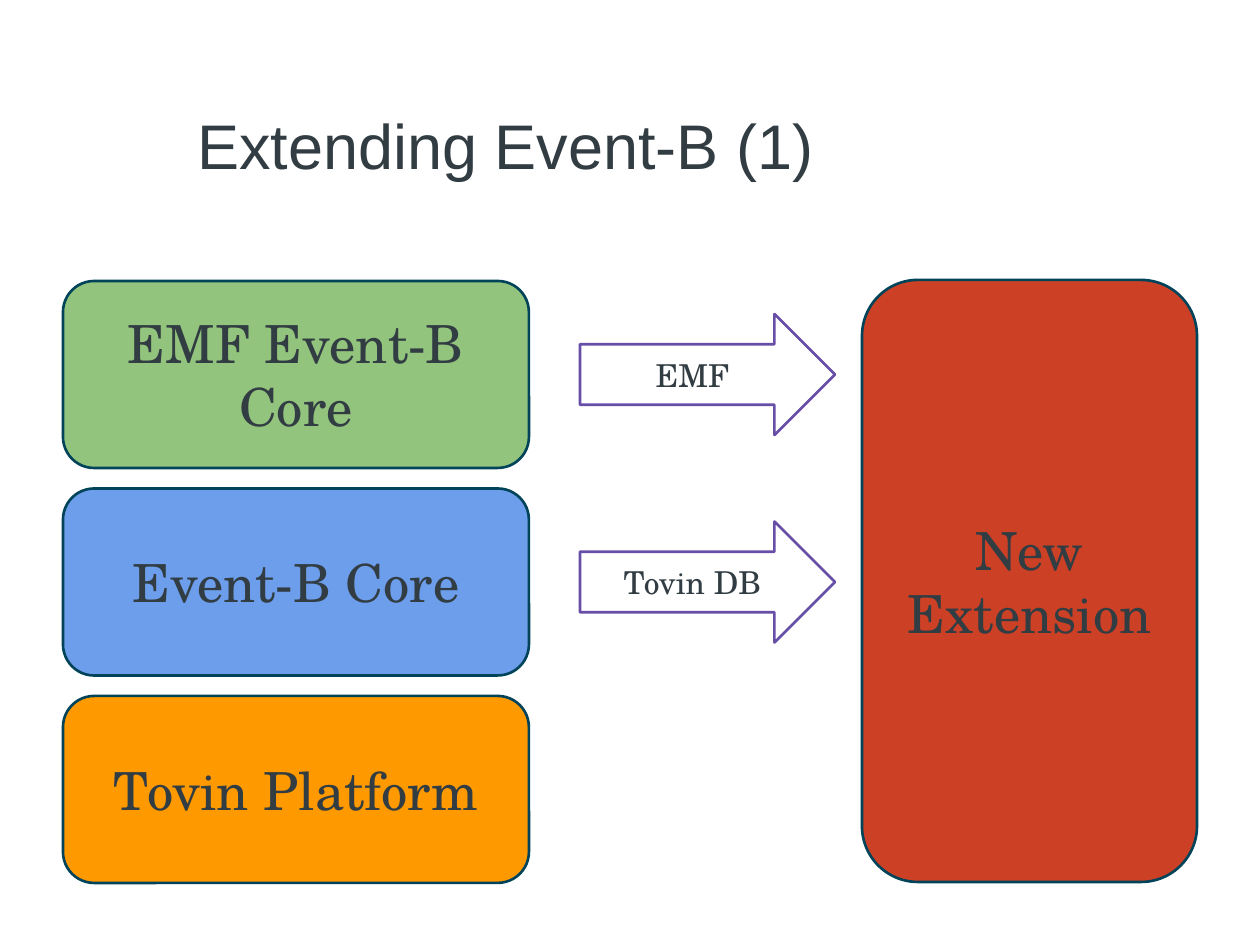
from pptx import Presentation
from pptx.dml.color import RGBColor
from pptx.enum.shapes import MSO_SHAPE
from pptx.enum.text import MSO_ANCHOR, PP_ALIGN
from pptx.util import Emu, Inches, Pt

SCALE = 914400 / 126  # EMU per pixel
INK = RGBColor(0x32, 0x3D, 0x43)
WHITE = RGBColor(0xFF, 0xFF, 0xFF)
GREEN = RGBColor(0x93, 0xC4, 0x7D)
BLUE = RGBColor(0x6D, 0x9E, 0xEB)
ORANGE = RGBColor(0xFF, 0x99, 0x00)
RED = RGBColor(0xCC, 0x41, 0x25)
TEAL = RGBColor(0x01, 0x43, 0x59)
PURPLE = RGBColor(0x67, 0x4E, 0xA7)

LAYER_HEIGHT = 187
ARROW_HEIGHT = 121
# Layer name, fill, label of the arrow leaving it
LAYERS = [
    ("EMF Event-B Core", GREEN, "EMF"),
    ("Event-B Core", BLUE, "Tovin DB"),
    ("Tovin Platform", ORANGE, None),
]


def px(length):
    return Emu(round(length * SCALE))


def write_text(shape, text, size=30, font="TeX Gyre Schola", anchor=MSO_ANCHOR.MIDDLE):
    frame = shape.text_frame
    frame.word_wrap = True
    frame.vertical_anchor = anchor
    frame.margin_left = frame.margin_right = Inches(0.1)
    frame.margin_top = frame.margin_bottom = Inches(0.1)
    para = frame.paragraphs[0]
    para.alignment = PP_ALIGN.CENTER
    span = para.add_run()
    span.text = text
    span.font.size = Pt(size)
    span.font.name = font
    span.font.color.rgb = INK


def add_block(page, kind, box, text, fill, line, size=30):
    shape = page.shapes.add_shape(kind, *map(px, box))
    shape.shadow.inherit = False
    shape.fill.solid()
    shape.fill.fore_color.rgb = fill
    shape.line.color.rgb = line
    shape.line.width = Pt(1.5)
    write_text(shape, text, size=size)


def place_title(page, box, text):
    title = page.shapes.title
    title.left, title.top, title.width, title.height = map(px, box)
    write_text(title, text, size=36, font="Arial", anchor=MSO_ANCHOR.BOTTOM)


def layer_tops(box):
    """Spread the layers evenly over the height of the box."""
    _, top, _, height = box
    pitch = (height - LAYER_HEIGHT) / (len(LAYERS) - 1)
    return [top + index * pitch for index in range(len(LAYERS))]


def add_layers(page, box):
    left, _, width, _ = box
    for top, (name, fill, _) in zip(layer_tops(box), LAYERS):
        add_block(page, MSO_SHAPE.ROUNDED_RECTANGLE,
                  (left, top, width, LAYER_HEIGHT), name, fill, TEAL)


def add_arrows(page, box):
    left, _, width, _ = box
    inset = (LAYER_HEIGHT - ARROW_HEIGHT) / 2
    for top, (_, _, label) in zip(layer_tops(box), LAYERS):
        if label:
            add_block(page, MSO_SHAPE.RIGHT_ARROW,
                      (left, top + inset, width, ARROW_HEIGHT),
                      label, WHITE, PURPLE, size=18)


def add_extension(page, box):
    add_block(page, MSO_SHAPE.ROUNDED_RECTANGLE, box, "New Extension", RED, TEAL)


deck = Presentation()
deck.slide_width, deck.slide_height = Inches(10), Inches(7.5)
page = deck.slides.add_slide(deck.slide_layouts[5])
page.background.fill.solid()
page.background.fill.fore_color.rgb = WHITE

# Title
place_title(page, (63, 87, 885, 108), "Extending Event-B (1)")
# Platform layers, the extension, and the arrows between them
add_layers(page, (63, 281, 466, 602))
add_extension(page, (862, 280, 335, 602))
add_arrows(page, (580, 281, 255, 602))

deck.save("out.pptx")
